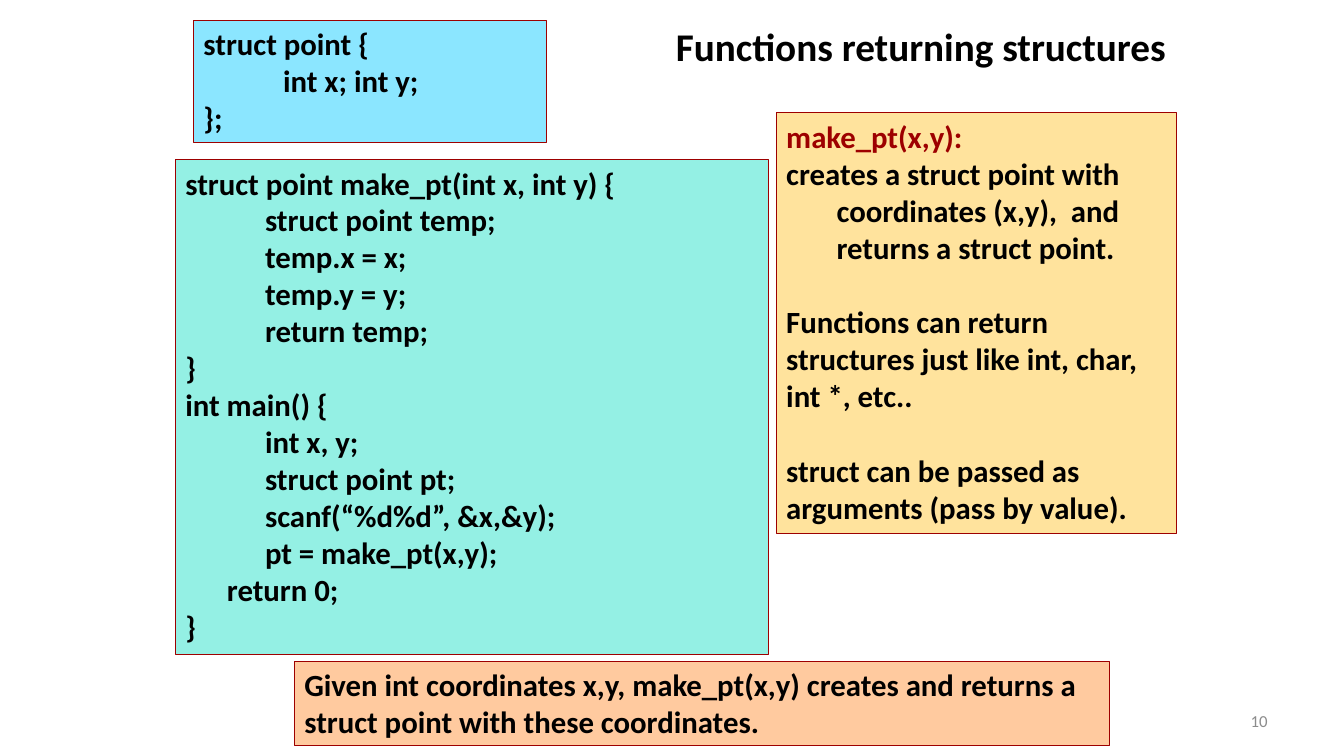
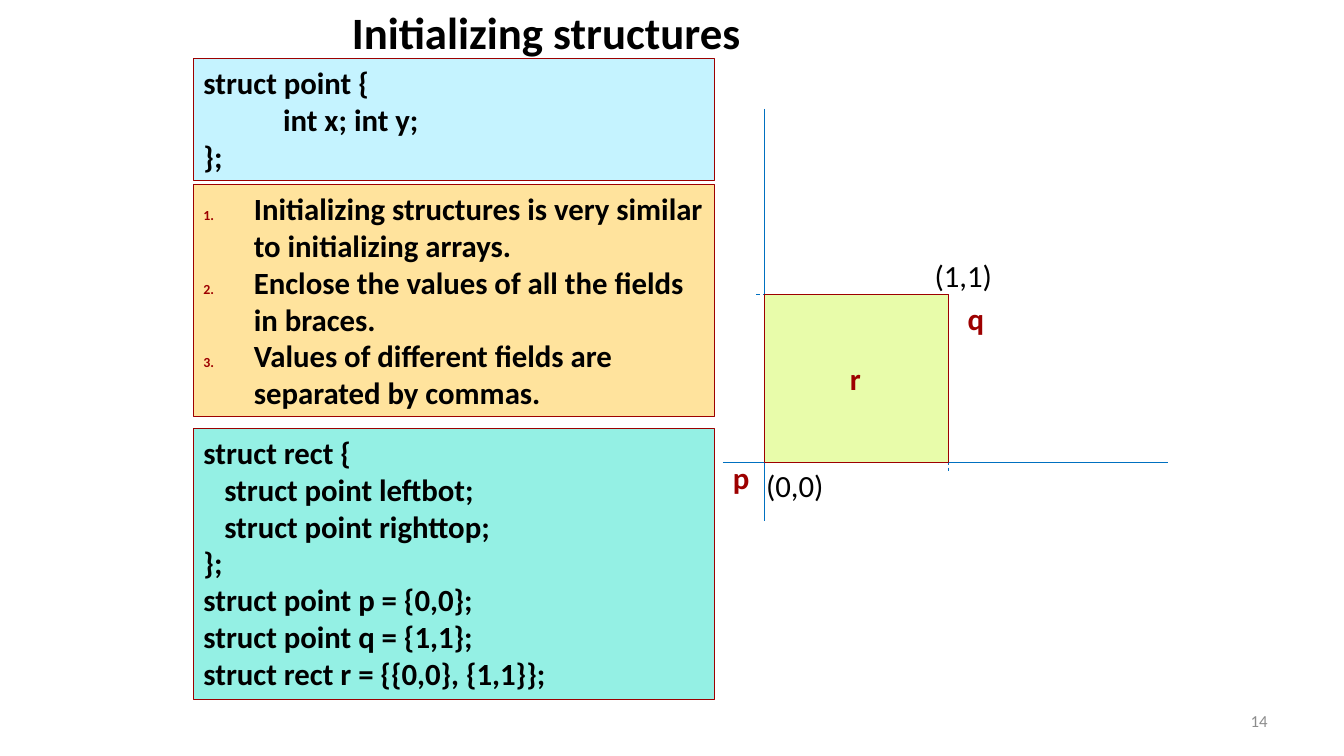
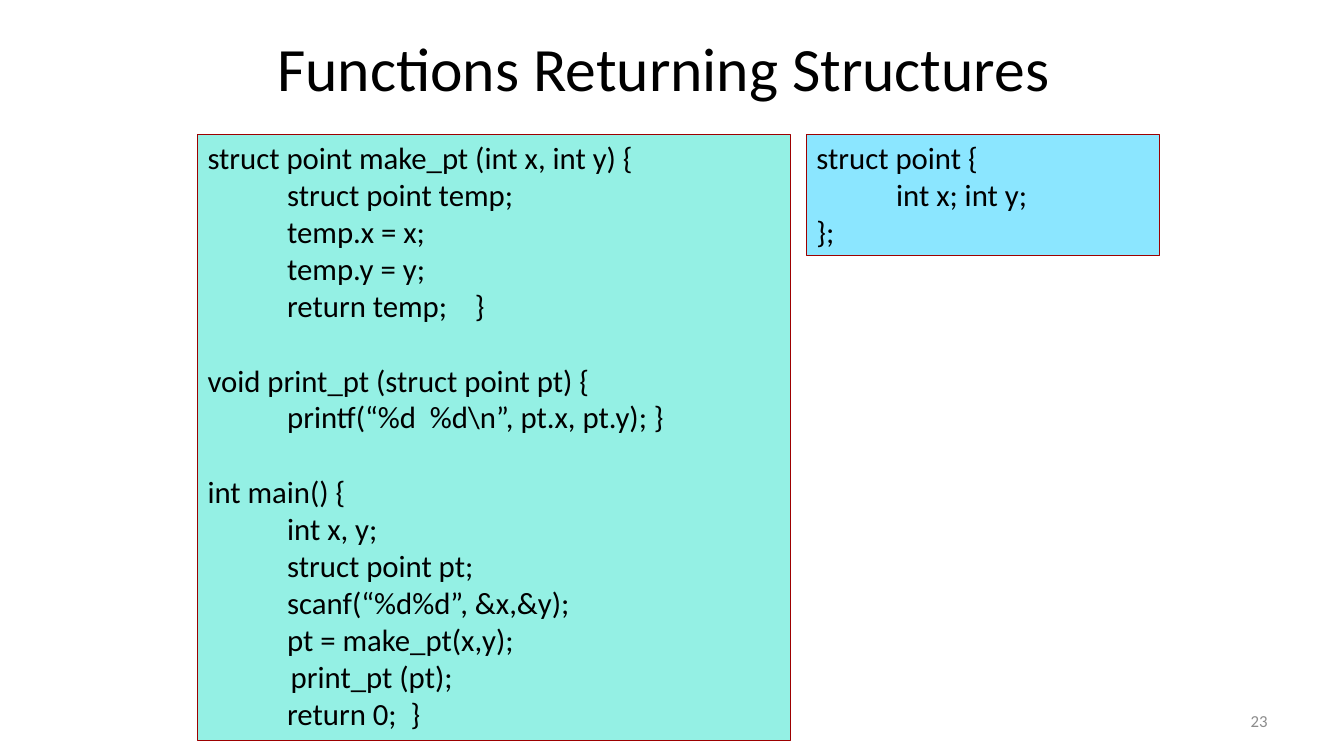
from dataclasses import dataclass

from lxml.etree import SubElement
from pptx import Presentation
from pptx.dml.color import RGBColor
from pptx.enum.dml import MSO_LINE
from pptx.enum.shapes import MSO_CONNECTOR, MSO_SHAPE
from pptx.enum.text import MSO_ANCHOR, MSO_AUTO_SIZE, PP_ALIGN
from pptx.oxml.ns import qn
from pptx.util import Inches, Pt

# Shared look
FONT = "Calibri"
BLACK, RED, BLUE, GREY = "000000", "9D0000", "0070C0", "8C8C8C"
SKY, PALE, MINT = "8BE6FF", "C5F3FF", "94F0E4"
SAND, PEACH, LIME = "FFE39D", "FFCA9F", "E8FCAA"
BODY = 22
TAB = 0.79
GAP = 26.8  # one empty line of body text

# Code used on several slides
POINT = ["struct point {", "\tint x; int y;", "};"]
TEMP = ["\tstruct point temp;", "\ttemp.x = x;", "\ttemp.y = y;"]
READ = ["int x, y;", "struct point pt;", "scanf(“%d%d”, &x,&y);",
        "pt = make_pt(x,y);"]
READ = ["\t" + row for row in READ]


@dataclass
class Line:
    text: str
    color: str = BLACK
    gap: bool = False
    hang: bool = False
    number: bool = False


@dataclass
class Style:
    size: int = BODY
    bold: bool = True
    align: PP_ALIGN = PP_ALIGN.LEFT


@dataclass
class Box:
    left: float
    top: float
    width: float
    height: float
    fill: str
    lines: list
    bold: bool = True


@dataclass
class Tag:
    left: float
    top: float
    width: float
    text: str
    bold: bool = False


def rgb(code: str) -> RGBColor:
    return RGBColor.from_string(code)


def place(*nums: float) -> list:
    return [Inches(n) for n in nums]


def write(frame, lines: list, style: Style) -> None:
    for i, item in enumerate(lines):
        line = Line(item) if isinstance(item, str) else item
        para = frame.paragraphs[0] if i == 0 else frame.add_paragraph()
        para.text = line.text
        para.alignment = style.align
        if line.gap:
            para.space_before = Pt(GAP)
        props = para._p.get_or_add_pPr()
        if line.hang or line.number:
            props.set("marL", str(Inches(0.5)))
            props.set("indent", str(-Inches(0.5)))
        if line.number:
            tint = SubElement(props, qn("a:buClr"))
            SubElement(tint, qn("a:srgbClr"), val=RED)
            SubElement(props, qn("a:buSzPct"), val="45000")
            SubElement(props, qn("a:buAutoNum"), type="arabicPeriod")
        if "\t" in line.text:
            tabs = SubElement(props, qn("a:tabLst"))
            SubElement(tabs, qn("a:tab"), pos=str(Inches(TAB)), algn="l")
        font = para.font
        font.name, font.size, font.bold = FONT, Pt(style.size), style.bold
        font.color.rgb = rgb(line.color)


def label(slide, at: tuple, line: Line, style: Style, wrap: bool = True):
    frame = slide.shapes.add_textbox(*place(*at)).text_frame
    frame.word_wrap = wrap
    write(frame, [line], style)
    return frame


def block(slide, at: tuple, fill: str, width: float = 0.75):
    shape = slide.shapes.add_shape(MSO_SHAPE.RECTANGLE, *place(*at))
    shape.shadow.inherit = False
    shape.fill.solid()
    shape.fill.fore_color.rgb = rgb(fill)
    shape.line.color.rgb = rgb(RED)
    shape.line.width = Pt(width)
    return shape


def panel(slide, box: Box) -> None:
    at = (box.left, box.top, box.width, box.height)
    frame = block(slide, at, box.fill).text_frame
    frame.word_wrap = True
    frame.auto_size = MSO_AUTO_SIZE.SHAPE_TO_FIT_TEXT
    frame.vertical_anchor = MSO_ANCHOR.TOP
    write(frame, box.lines, Style(bold=box.bold))


def rule(slide, ends: tuple, dash: bool = False) -> None:
    line = slide.shapes.add_connector(MSO_CONNECTOR.STRAIGHT, *place(*ends))
    line.line.color.rgb = rgb(BLUE)
    line.line.width = Pt(0.75)
    if dash:
        line.line.dash_style = MSO_LINE.DASH
    SubElement(line._element.spPr, qn("a:effectLst"))


def start(deck, page: int, title: str, at: tuple, style: Style, boxes: list):
    """Add a slide with its title, panels and page number."""
    slide = deck.slides.add_slide(deck.slide_layouts[6])
    label(slide, at, Line(title), style)
    for box in boxes:
        panel(slide, box)
    foot = label(slide, (9.56, 6.95, 3.11, 0.4), Line(str(page), GREY),
                 Style(12, False, PP_ALIGN.RIGHT))
    foot.vertical_anchor = MSO_ANCHOR.MIDDLE
    return slide


def plot(slide) -> None:
    """Draw the unit square r on its axes."""
    left, top, wide, high = 7.58, 2.92, 1.83, 1.67
    right, base = left + wide, top + high
    rule(slide, (left, 1.08, left, 5.17))
    rule(slide, (7.17, base, 11.58, base))
    rule(slide, (right, top, right, base + 0.08), True)
    rule(slide, (left - 0.08, top, right, top), True)
    block(slide, (left, top, wide, high), LIME, 0.5)
    tags = [
        Tag(7.17, 4.5, 0.36, "p", True),
        Tag(7.5, 4.58, 0.77, "(0,0)"),
        Tag(9.17, 2.5, 0.78, "(1,1)"),
        Tag(9.5, 2.92, 0.36, "q", True),
        Tag(8.33, 3.52, 0.31, "r", True),
    ]
    for tag in tags:
        label(slide, (tag.left, tag.top, tag.width, 0.47),
              Line(tag.text, RED if tag.bold else BLACK),
              Style(bold=tag.bold), False)


def main() -> None:
    deck = Presentation()
    deck.slide_width, deck.slide_height = place(13.33, 7.5)

    # Functions returning structures
    code = ["struct point make_pt(int x, int y) {", *TEMP, "\treturn temp;",
            "}", "int main() {", *READ, "      return 0;", "}"]
    notes = [
        Line("make_pt(x,y):", RED),
        Line("creates a struct point with coordinates (x,y),  and "
             "returns a struct point.", hang=True),
        Line("Functions can return structures just like int, char, "
             "int *, etc..", gap=True),
        Line("struct can be passed as arguments (pass by value).", gap=True),
    ]
    given = ("Given int coordinates x,y, make_pt(x,y) creates and returns a "
             "struct point with these coordinates.")
    start(deck, 10, "Functions returning structures",
          (5.33, 0.17, 6.33, 0.57), Style(28, True, PP_ALIGN.RIGHT), [
              Box(1.92, 0.2, 3.5, 1.21, SKY, POINT),
              Box(1.74, 1.58, 5.88, 4.91, MINT, code),
              Box(7.7, 1.12, 3.97, 4.17, SAND, notes),
              Box(2.92, 6.56, 8.08, 0.84, PEACH, [given]),
          ])

    # Initializing structures
    steps = [
        "Initializing structures is very similar to initializing arrays.",
        "Enclose the values of all the fields in braces.",
        "Values of different fields are separated by commas.",
    ]
    rect = ["struct rect {", "   struct point leftbot;",
            "   struct point righttop;", "};", "struct point p = {0,0};",
            "struct point q = {1,1};", "struct rect r = {{0,0}, {1,1}};"]
    slide = start(deck, 14, "Initializing structures",
                  (1.67, 0, 7.5, 0.63), Style(32, True, PP_ALIGN.CENTER), [
                      Box(1.92, 0.58, 5.17, 1.21, PALE, POINT),
                      Box(1.92, 1.83, 5.17, 2.3, SAND,
                          [Line(step, number=True) for step in steps]),
                      Box(1.92, 4.25, 5.17, 2.69, MINT, rect),
                  ])
    plot(slide)

    # Functions Returning Structures, with printing
    code = ["struct point make_pt (int x, int y) {", *TEMP,
            "\treturn temp;    }",
            Line("void print_pt (struct point pt) {", gap=True),
            "\tprintf(“%d  %d\\n”, pt.x, pt.y); }",
            Line("int main() {", gap=True), *READ,
            "            print_pt (pt);", "\treturn 0;  }"]
    start(deck, 23, "Functions Returning Structures",
          (2.42, 0.25, 8.33, 0.84), Style(44, False, PP_ALIGN.CENTER), [
              Box(8, 1.33, 3.5, 1.21, SKY, POINT, False),
              Box(1.96, 1.33, 5.88, 6.02, MINT, code, False),
          ])

    deck.save("out.pptx")


if __name__ == "__main__":
    main()
